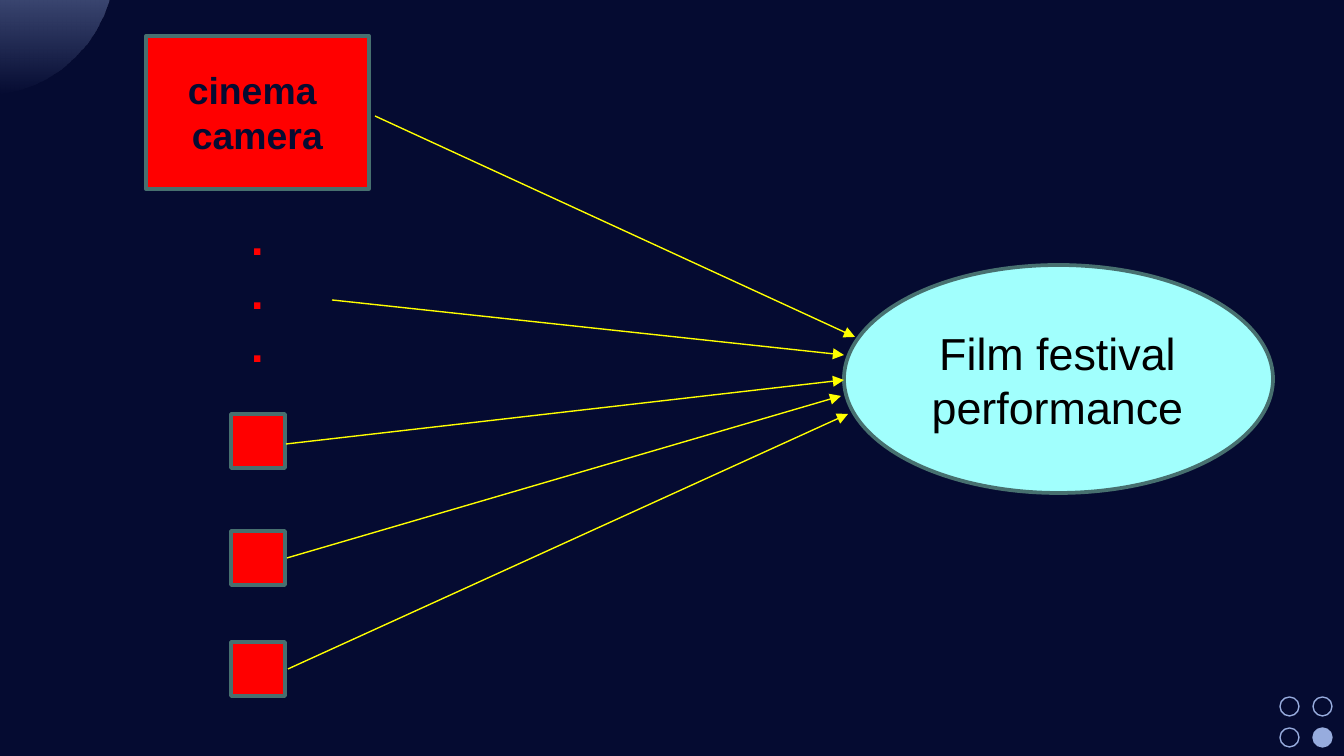
import pptx
import pptx.util
import pptx.dml.color
import pptx.enum.shapes
import pptx.enum.text
import pptx.oxml.ns
import lxml.etree

NAVY, PALE, RED, TEAL = "050B31", "97ACDE", "FF0000", "47706F"
CYAN, GOLD, BLACK = "A1FFFD", "FFFF00", "000000"

CAMERA = ["cinema ", "camera"]
DOTS = [".", ".", "."]
GOAL = ["Film festival performance"]
SQUARES = [414, 531, 642]
ARROWS = [
    ((375, 116), (855, 337)),
    ((332, 300), (844, 355)),
    ((286, 444), (844, 380)),
    ((287, 558), (841, 396)),
    ((288, 669), (848, 414)),
]
RINGS = [(col, row) for row in range(2) for col in range(2)]

KIND = pptx.enum.shapes.MSO_SHAPE
SCALE = 914400 / 134.4


def px(num):
    return round(num * SCALE)


def paint(color, code):
    color.rgb = pptx.dml.color.RGBColor.from_string(code)


def add(parent, tag, **attrs):
    return lxml.etree.SubElement(parent, pptx.oxml.ns.qn(tag), attrs)


def shape(kind, box, fill=None, line=None, width=2):
    item = slide.shapes.add_shape(kind, *map(px, box))
    item.shadow.inherit = False
    if fill:
        item.fill.solid()
        paint(item.fill.fore_color, fill)
    else:
        item.fill.background()
    if line:
        paint(item.line.color, line)
        item.line.width = pptx.util.Pt(width)
    else:
        item.line.fill.background()
    return item


def write(item, lines, size, code, bold=False):
    frame = item.text_frame
    frame.word_wrap = True
    frame.text = "\n".join(lines)
    for para in frame.paragraphs:
        para.alignment = pptx.enum.text.PP_ALIGN.CENTER
        para.font.name = "Arial"
        para.font.size = pptx.util.Pt(size)
        para.font.bold = bold
        paint(para.font.color, code)


def label(box, *text):
    write(slide.shapes.add_textbox(*map(px, box)), *text)


def glow(box):
    item = shape(KIND.OVAL, box)
    item.fill.gradient()
    item.fill.gradient_angle = 270
    for stop, place in zip(item.fill.gradient_stops, (0, 1)):
        paint(stop.color, PALE)
        stop.position = place
    last = item.fill._fill._gradFill.gsLst[-1]
    add(last[0], "a:alpha", val="0")


def arrow(start, end):
    item = slide.shapes.add_connector(
        pptx.enum.shapes.MSO_CONNECTOR.STRAIGHT, *map(px, start + end))
    paint(item.line.color, GOLD)
    item.line.width = pptx.util.Pt(0.75)
    add(item.line._get_or_add_ln(), "a:tailEnd", type="triangle")
    add(item._element.spPr, "a:effectLst")


deck = pptx.Presentation()
deck.slide_width, deck.slide_height = px(1344), px(756)
slide = deck.slides.add_slide(deck.slide_layouts[6])
slide.background.fill.solid()
paint(slide.background.fill.fore_color, NAVY)

glow((-149, -167, 262, 262))
for col, row in RINGS:
    fill = PALE if col and row else None
    shape(KIND.OVAL, (1280 + 33 * col, 697 + 31 * row, 19, 19), fill, PALE, 0.75)

shape(KIND.OVAL, (844, 265, 429, 228), CYAN, TEAL)
label((856, 319, 403, 122), GOAL, 24, BLACK)
for top in SQUARES:
    shape(KIND.RECTANGLE, (231, top, 54, 54), RED, TEAL)
label((56, 204, 403, 176), DOTS, 24, RED, True)
camera = shape(KIND.RECTANGLE, (146, 36, 223, 153), RED, TEAL)
write(camera, CAMERA, 20, NAVY, True)
for start, end in ARROWS:
    arrow(start, end)

deck.save("out.pptx")
